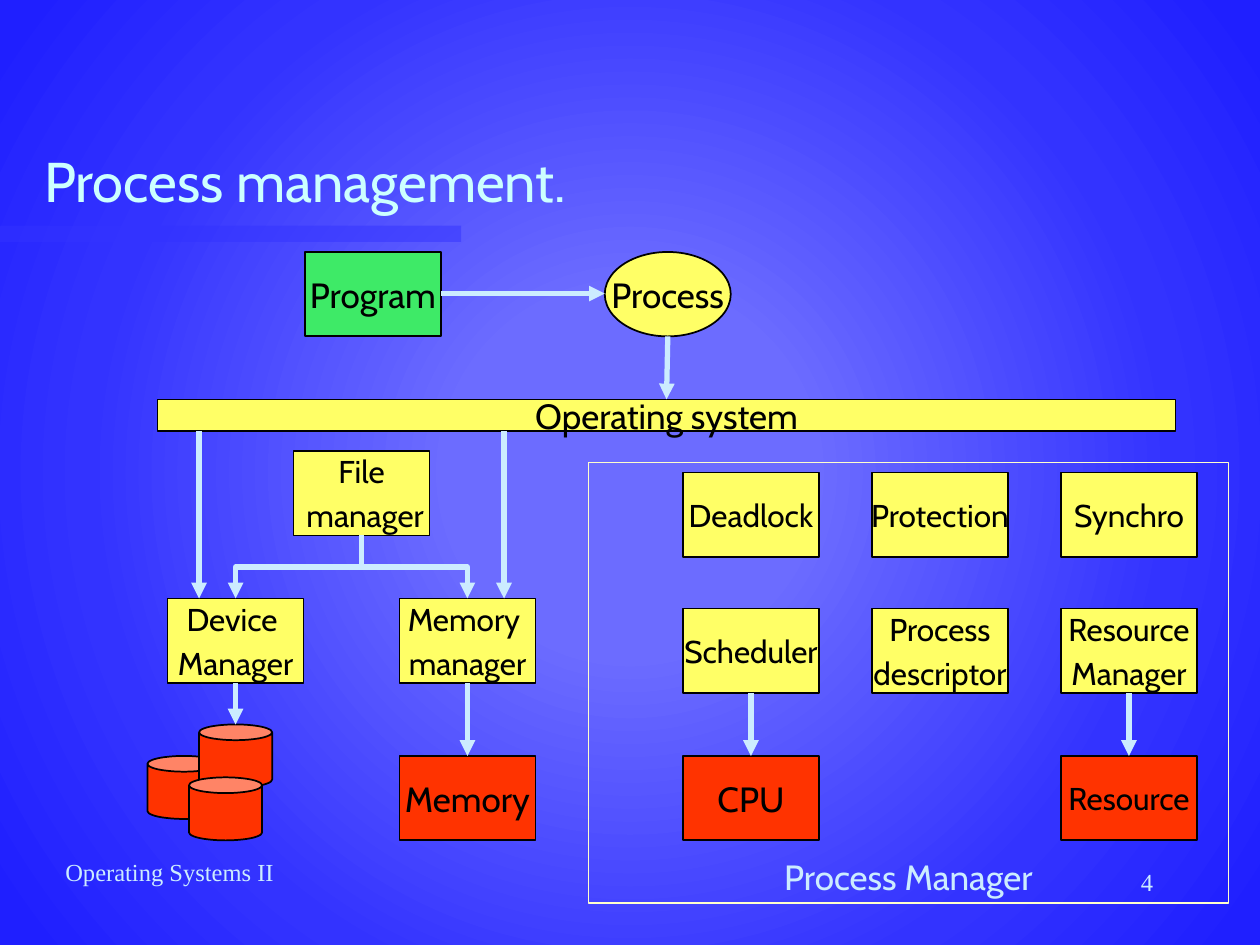
from dataclasses import dataclass

from lxml import etree
from pptx import Presentation
from pptx.dml.color import RGBColor
from pptx.enum import shapes, text
from pptx.oxml import ns
from pptx.util import Inches, Pt

BLACK = RGBColor(0x00, 0x00, 0x00)
YELLOW = RGBColor(0xFF, 0xFF, 0x66)
GREEN = RGBColor(0x3E, 0xEA, 0x67)
RED = RGBColor(0xFF, 0x33, 0x00)
CREAM = RGBColor(0xFF, 0xFF, 0xCC)
PALE_BLUE = RGBColor(0xCC, 0xEC, 0xFF)
TITLE_CYAN = RGBColor(0xCC, 0xFF, 0xFF)
BLUE = RGBColor(0x33, 0x33, 0xFF)
BACKGROUND_STOPS = ((0, "6C6CFF"), (23, "6C6CFF"), (69, "3333FF"), (97, "1F1FFF"))

KIND = shapes.MSO_SHAPE
ALIGN = text.PP_ALIGN
ANCHOR = text.MSO_ANCHOR

BOX_W, BOX_H = 1.08, 0.67
BAR_BOTTOM = 3.42
FILE_LEFT, FILE_TOP = 2.33, 3.58
DEVICE_LEFT, MEMORY_LEFT, MANAGER_TOP = 1.33, 3.17, 4.75
SCHEDULER_LEFT, DESCRIPTOR_LEFT, RESOURCE_LEFT = (5.42 + 1.5 * i for i in range(3))
SERVICE_TOP, SCHEDULER_TOP, HARDWARE_TOP = 3.75, 4.83, 6
DISK_TOP = 5.75


@dataclass(frozen=True)
class Node:
    left: float
    top: float
    label: str = ""
    fill: RGBColor | None = YELLOW
    size: int = 18
    width: float = BOX_W
    height: float = BOX_H
    kind: int = KIND.RECTANGLE
    line: RGBColor = BLACK
    color: RGBColor = BLACK
    anchor: int = ANCHOR.MIDDLE


@dataclass(frozen=True)
class Arrow:
    x: float
    y: float
    end_x: float
    end_y: float


def center(left: float) -> float:
    return left + BOX_W / 2


NODES = [
    Node(4.67, 3.67, "Process Manager", None, 20, 5.08, 3.5,
         line=CREAM, color=PALE_BLUE, anchor=ANCHOR.BOTTOM),
    Node(2.42, 2, "Program", GREEN, 20),
    Node(4.8, 2, "Process", size=20, width=1, kind=KIND.OVAL),
    Node(1.25, 3.17, "Operating system", size=20, width=8.08, height=0.25),
    Node(FILE_LEFT, FILE_TOP, "File\n manager"),
    Node(DEVICE_LEFT, MANAGER_TOP, "Device \nManager"),
    Node(MEMORY_LEFT, MANAGER_TOP, "Memory \nmanager"),
    Node(MEMORY_LEFT, HARDWARE_TOP, "Memory", RED, 20),
    Node(SCHEDULER_LEFT, SERVICE_TOP, "Deadlock"),
    Node(DESCRIPTOR_LEFT, SERVICE_TOP, "Protection"),
    Node(RESOURCE_LEFT, SERVICE_TOP, "Synchro"),
    Node(SCHEDULER_LEFT, SCHEDULER_TOP, "Scheduler"),
    Node(DESCRIPTOR_LEFT, SCHEDULER_TOP, "Process\ndescriptor"),
    Node(RESOURCE_LEFT, SCHEDULER_TOP, "Resource\nManager"),
    Node(SCHEDULER_LEFT, HARDWARE_TOP, "CPU", RED, 20),
    Node(RESOURCE_LEFT, HARDWARE_TOP, "Resource", RED),
    *(Node(left, top, fill=RED, width=0.58, height=0.5, kind=KIND.CAN)
      for left, top in ((1.17, 6), (1.58, DISK_TOP), (1.5, 6.17))),
]

ARROWS = [
    Arrow(3.5, 2.33, 4.8, 2.33),
    Arrow(5.3, 2.67, 5.29, 3.17),
    Arrow(center(DEVICE_LEFT), MANAGER_TOP + BOX_H, center(DEVICE_LEFT), DISK_TOP),
    Arrow(center(MEMORY_LEFT), MANAGER_TOP + BOX_H, center(MEMORY_LEFT), HARDWARE_TOP),
    *(Arrow(center(left), SCHEDULER_TOP + BOX_H, center(left), HARDWARE_TOP)
      for left in (SCHEDULER_LEFT, RESOURCE_LEFT)),
    *(Arrow(x, BAR_BOTTOM, x, MANAGER_TOP) for x in (1.58, 4)),
]

BRANCHES = [Arrow(center(FILE_LEFT), FILE_TOP + BOX_H, center(left), MANAGER_TOP)
            for left in (DEVICE_LEFT, MEMORY_LEFT)]


def write(frame, content: str, *, size: int, color: RGBColor, font: str = "Cabin",
          align=ALIGN.LEFT, anchor=ANCHOR.TOP, wrap: bool = True) -> None:
    frame.word_wrap = wrap
    frame.vertical_anchor = anchor
    for index, line in enumerate(content.split("\n")):
        paragraph = frame.paragraphs[0] if index == 0 else frame.add_paragraph()
        paragraph.alignment = align
        if index:
            paragraph.space_before = Pt(size * 0.2)
        run = paragraph.add_run()
        run.text = line
        run.font.size = Pt(size)
        run.font.name = font
        run.font.color.rgb = color


def add_node(slide, node: Node) -> None:
    shape = slide.shapes.add_shape(node.kind, Inches(node.left), Inches(node.top),
                                   Inches(node.width), Inches(node.height))
    shape.shadow.inherit = False
    if node.fill is None:
        shape.fill.background()
    else:
        shape.fill.solid()
        shape.fill.fore_color.rgb = node.fill
    shape.line.color.rgb = node.line
    shape.line.width = Pt(1)
    if node.label:
        write(shape.text_frame, node.label, size=node.size, color=node.color,
              align=ALIGN.CENTER, anchor=node.anchor, wrap=False)


def add_arrow(slide, arrow: Arrow, kind=shapes.MSO_CONNECTOR.STRAIGHT):
    connector = slide.shapes.add_connector(kind, Inches(arrow.x), Inches(arrow.y),
                                           Inches(arrow.end_x), Inches(arrow.end_y))
    connector.line.color.rgb = PALE_BLUE
    connector.line.width = Pt(3)
    etree.SubElement(connector.line._get_or_add_ln(), ns.qn("a:tailEnd"), type="triangle")
    etree.SubElement(connector.element.spPr, ns.qn("a:effectLst"))
    return connector


def add_branch(slide, branch: Arrow) -> None:
    """Draw an elbow that leaves and arrives vertically, as a rotated connector."""
    mid_x, mid_y = (branch.x + branch.end_x) / 2, (branch.y + branch.end_y) / 2
    half_w = (branch.end_y - branch.y) / 2
    half_h = abs(branch.end_x - branch.x) / 2
    rotation = 90
    if branch.end_x > branch.x:
        half_w, rotation = -half_w, 270
    unrotated = Arrow(mid_x - half_w, mid_y - half_h, mid_x + half_w, mid_y + half_h)
    connector = add_arrow(slide, unrotated, shapes.MSO_CONNECTOR.ELBOW)
    connector.element.spPr.find(ns.qn("a:xfrm")).set("rot", str(rotation * 60000))


def set_background(slide) -> None:
    slide.background.fill.solid()
    solid = slide.element.find(".//" + ns.qn("p:bgPr")).find(ns.qn("a:solidFill"))
    gradient = etree.Element(ns.qn("a:gradFill"), rotWithShape="1")
    stops = etree.SubElement(gradient, ns.qn("a:gsLst"))
    for position, color in BACKGROUND_STOPS:
        stop = etree.SubElement(stops, ns.qn("a:gs"), pos=str(position * 1000))
        etree.SubElement(stop, ns.qn("a:srgbClr"), val=color)
    circle = etree.SubElement(gradient, ns.qn("a:path"), {"path": "circle"})
    etree.SubElement(circle, ns.qn("a:fillToRect"),
                     {side: "50000" for side in ("l", "t", "r", "b")})
    solid.getparent().replace(solid, gradient)


def add_title_bar(slide) -> None:
    bar = slide.shapes.add_shape(KIND.RECTANGLE, 0, Inches(1.79), Inches(3.66), Inches(0.13))
    bar.shadow.inherit = False
    bar.fill.solid()
    bar.fill.fore_color.rgb = BLUE
    bar.line.fill.background()
    color = bar.element.spPr.find(".//" + ns.qn("a:srgbClr"))
    etree.SubElement(color, ns.qn("a:alpha"), val="50000")


def main() -> None:
    deck = Presentation()
    deck.slide_width, deck.slide_height = Inches(10), Inches(7.5)
    slide = deck.slides.add_slide(deck.slide_layouts[5])
    set_background(slide)
    add_title_bar(slide)

    title = slide.shapes.title
    title.left, title.top = Inches(0.25), Inches(0.5)
    title.width, title.height = Inches(8.5), Inches(1.25)
    write(title.text_frame, "Process management.", size=32, color=TITLE_CYAN,
          anchor=ANCHOR.BOTTOM)

    for node in NODES:
        add_node(slide, node)
    for arrow in ARROWS:
        add_arrow(slide, arrow)
    for branch in BRANCHES:
        add_branch(slide, branch)

    for left, top, width, content, align in (
            (0.42, 6.75, 3.17, "Operating Systems II", ALIGN.LEFT),
            (7.17, 6.83, 2.08, "4", ALIGN.RIGHT)):
        footer = slide.shapes.add_textbox(Inches(left), Inches(top), Inches(width), Inches(0.5))
        write(footer.text_frame, content, size=14, color=PALE_BLUE,
              font="Times New Roman", align=align)

    deck.save("out.pptx")


if __name__ == "__main__":
    main()
